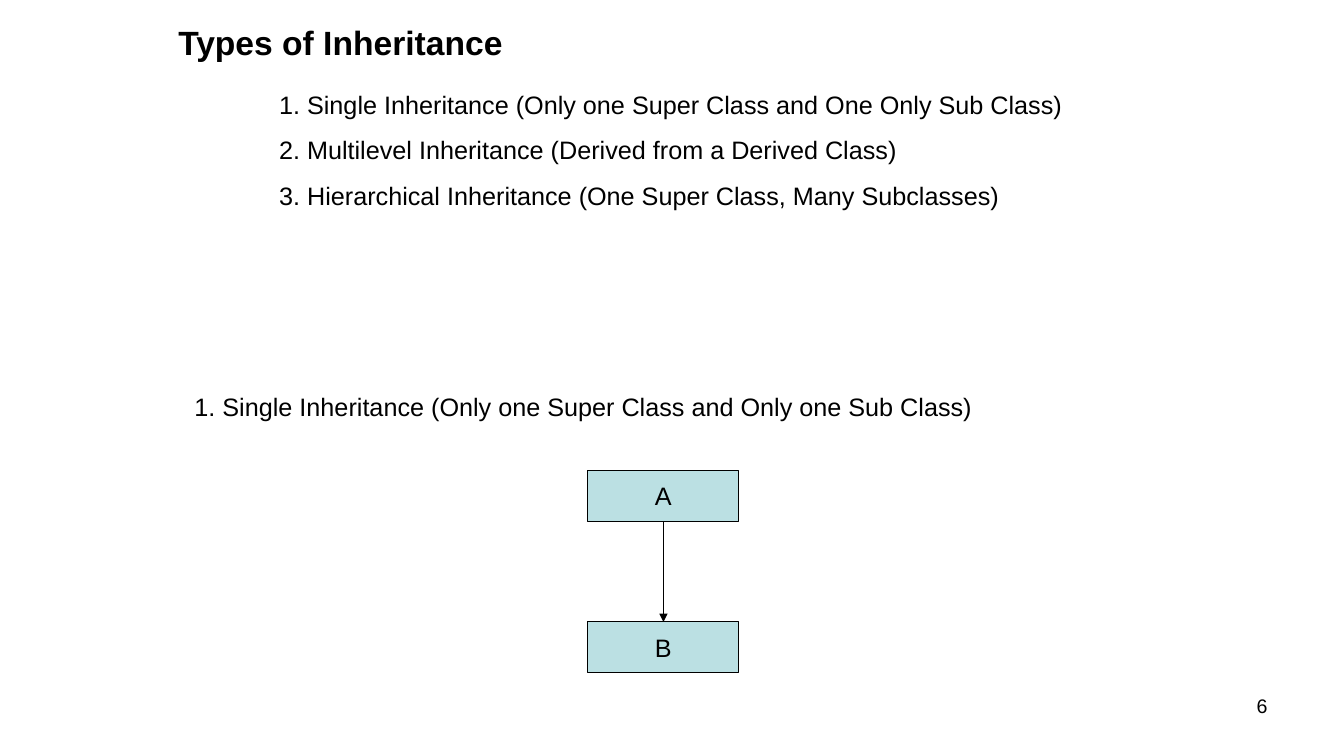
import pptx
import pptx.util
import pptx.dml.color
import pptx.enum.shapes
import pptx.enum.text
import pptx.oxml.ns
from lxml import etree

Inches = pptx.util.Inches
Pt = pptx.util.Pt
ALIGN = pptx.enum.text.PP_ALIGN
COLORS = {"ink": "000000", "box": "BBE0E3", "page": "FFFFFF"}
BODY = {"name": "Arial", "size": Pt(18), "bold": False}
TITLE = {**BODY, "size": Pt(24), "bold": True}
SMALL = {**BODY, "size": Pt(14)}
KINDS = [
    "1. Single Inheritance (Only one Super Class and One Only Sub Class)",
    "2. Multilevel Inheritance (Derived from a Derived Class)",
    "3. Hierarchical Inheritance (One Super Class, Many Subclasses)",
]


def shade(name):
    return pptx.dml.color.RGBColor.from_string(COLORS[name])


def write(para, text, style, align=ALIGN.LEFT, space=0, indent=0):
    para.text = text
    para.alignment = align
    if space:
        para.space_before = Pt(space)
    if indent:
        para._p.get_or_add_pPr().set("marL", str(Inches(indent)))
    font = para.runs[0].font
    for key, value in style.items():
        setattr(font, key, value)
    font.color.rgb = shade("ink")


def add_text(slide, place, text, style, align=ALIGN.LEFT):
    frame = slide.shapes.add_textbox(*map(Inches, place)).text_frame
    frame.word_wrap = True
    write(frame.paragraphs[0], text, style, align)
    return frame


def add_list(frame, items):
    for row, item in enumerate(items):
        write(frame.add_paragraph(), item, BODY, space=11 if row else 19, indent=1)


def trim(line):
    line.color.rgb = shade("ink")
    line.width = Pt(0.75)


def add_class(slide, name, top):
    box = slide.shapes.add_shape(
        pptx.enum.shapes.MSO_SHAPE.RECTANGLE,
        Inches(5.83), Inches(top), Inches(1.5), Inches(0.5))
    box.shadow.inherit = False
    box.fill.solid()
    box.fill.fore_color.rgb = shade("box")
    trim(box.line)
    frame = box.text_frame
    frame.word_wrap = False
    frame.vertical_anchor = pptx.enum.text.MSO_ANCHOR.MIDDLE
    write(frame.paragraphs[0], name, BODY, ALIGN.CENTER)
    return box


def add_arrow(slide, start, end):
    arrow = slide.shapes.add_connector(
        pptx.enum.shapes.MSO_CONNECTOR.STRAIGHT, 0, 0, 0, 0)
    arrow.begin_connect(start, 2)
    arrow.end_connect(end, 0)
    trim(arrow.line)
    qn = pptx.oxml.ns.qn
    props = arrow._element.spPr
    etree.SubElement(props.find(qn("a:ln")), qn("a:tailEnd"), type="triangle")
    etree.SubElement(props, qn("a:effectLst"))


def main():
    deck = pptx.Presentation()
    deck.slide_width = Inches(13.33)
    deck.slide_height = Inches(7.5)
    slide = deck.slides.add_slide(deck.slide_layouts[6])
    slide.background.fill.solid()
    slide.background.fill.fore_color.rgb = shade("page")

    add_text(slide, (9.56, 6.83, 3.11, 0.52), "6", SMALL, ALIGN.RIGHT)
    frame = add_text(slide, (1.67, 0.17, 10, 2.45), "Types of Inheritance", TITLE)
    add_list(frame, KINDS)
    add_text(slide, (1.83, 3.83, 9.42, 0.4),
             "1. Single Inheritance (Only one Super Class and Only one Sub Class)", BODY)
    base = add_class(slide, "A", 4.67)
    child = add_class(slide, "B", 6.17)
    add_arrow(slide, base, child)
    deck.save("out.pptx")


if __name__ == "__main__":
    main()
